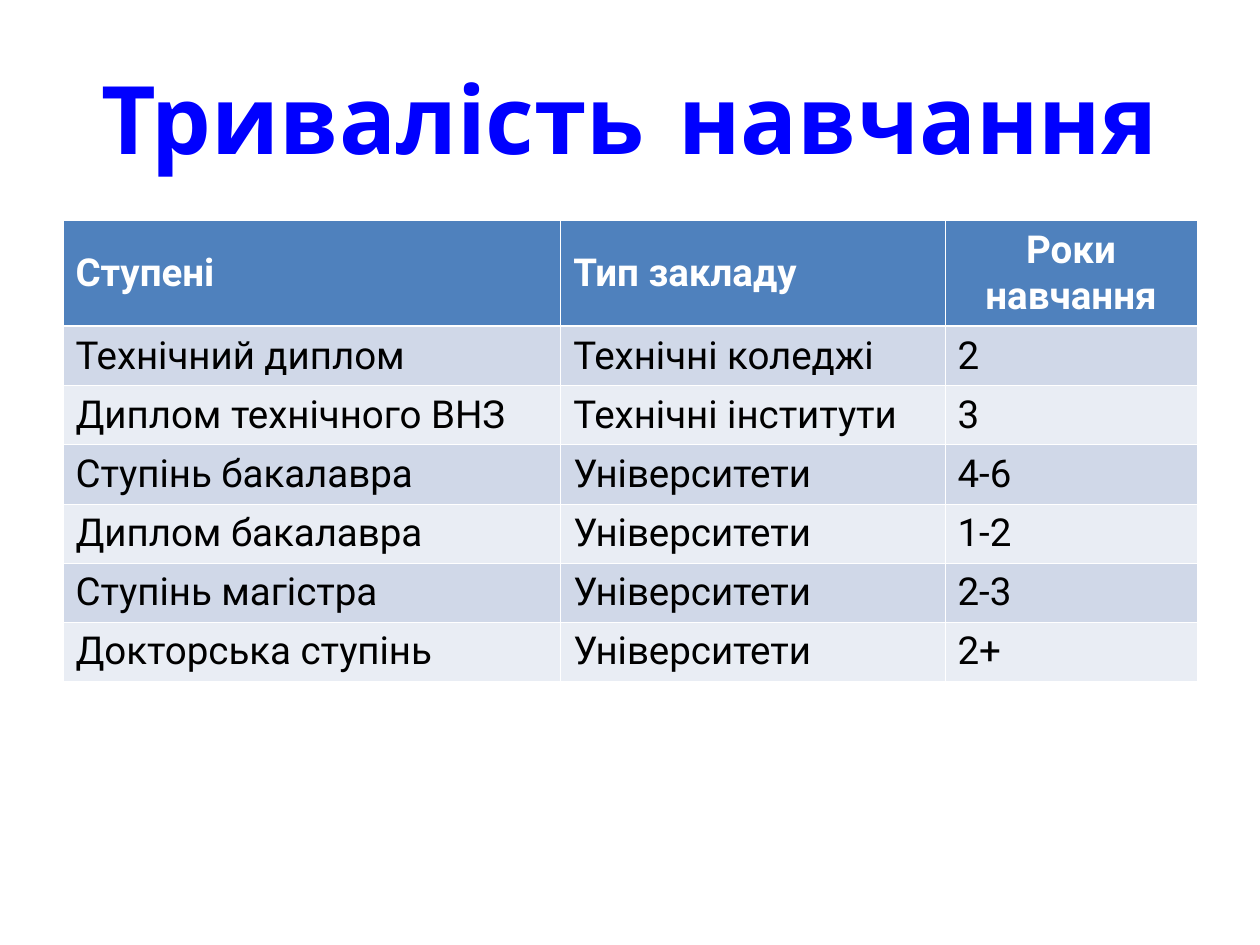
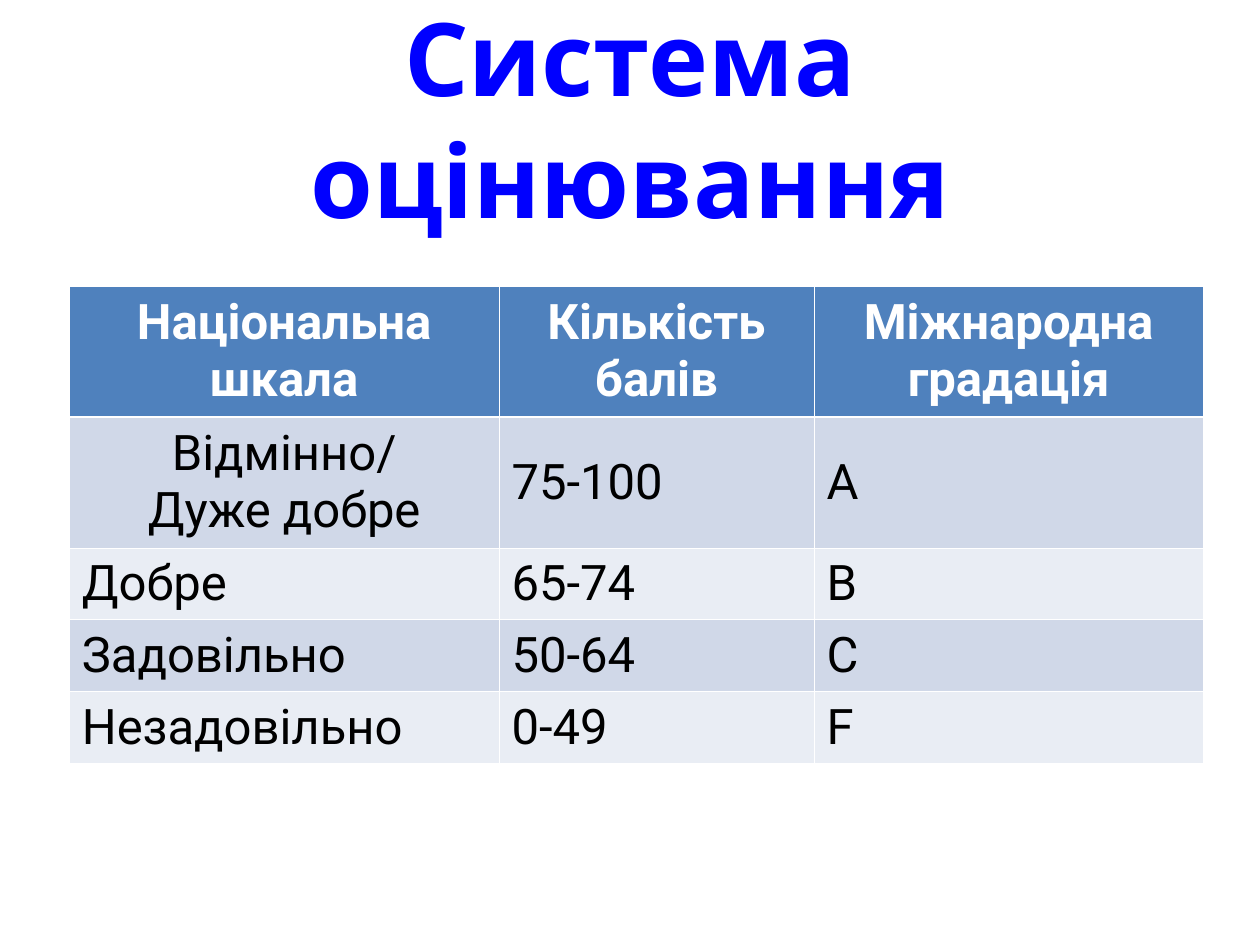
import pptx
import pptx.util
import pptx.dml.color
import pptx.enum.text
import pptx.oxml
import pptx.oxml.ns
from pptx.util import Inches

# Shared look
BLUE, WHITE, BLACK = "0000FF", "FFFFFF", "000000"
HEADER_FILL = "4F81BD"
BAND_FILLS = ("D0D8E8", "E9EDF4")
TABLE_FONT = "Roboto"
THIN, THICK = 0.45, 1.47
LEFT = pptx.enum.text.PP_ALIGN.LEFT
CENTER = pptx.enum.text.PP_ALIGN.CENTER
MIDDLE = pptx.enum.text.MSO_ANCHOR.MIDDLE


def color(hex_value):
    return pptx.dml.color.RGBColor.from_string(hex_value)


def format_text(text_frame, text, text_color, alignment, **font_format):
    text_frame.text = text
    for paragraph in text_frame.paragraphs:
        paragraph.alignment = alignment
        for run in paragraph.runs:
            for name, value in font_format.items():
                setattr(run.font, name, value)
            run.font.color.rgb = color(text_color)


def add_title(slide, text, font_name, size):
    box = slide.shapes.add_textbox(Inches(0.5), Inches(0.3), Inches(9), Inches(1.25))
    frame_format = {
        "word_wrap": True,
        "vertical_anchor": MIDDLE,
        "margin_left": Inches(0.2),
        "margin_right": Inches(0.2),
    }
    for name, value in frame_format.items():
        setattr(box.text_frame, name, value)
    format_text(box.text_frame, text, BLUE, CENTER,
                name=font_name, size=pptx.util.Pt(size), bold=True)


def set_borders(cell, top, bottom):
    """Draw white cell borders; the lines precede the fill in the cell properties."""
    properties = cell._tc.get_or_add_tcPr()
    widths = {"lnL": THIN, "lnR": THIN, "lnT": top, "lnB": bottom}
    for index, (tag, width) in enumerate(widths.items()):
        line = pptx.oxml.parse_xml(
            f'<a:{tag} {pptx.oxml.ns.nsdecls("a")} w="{pptx.util.Pt(width)}">'
            f'<a:solidFill><a:srgbClr val="{WHITE}"/></a:solidFill></a:{tag}>')
        properties.insert(index, line)


def add_banded_table(slide, left, top, widths, heights, rows, size, centered):
    """Add a table with a header row; centered holds (row, column) pairs."""
    table = slide.shapes.add_table(
        len(rows), len(widths), Inches(left), Inches(top),
        Inches(sum(widths)), Inches(sum(heights))).table
    for column, width in zip(table.columns, widths):
        column.width = Inches(width)
    for row_index, values in enumerate(rows):
        table.rows[row_index].height = Inches(heights[row_index])
        is_header = row_index == 0
        fill = HEADER_FILL if is_header else BAND_FILLS[(row_index - 1) % 2]
        for column_index, text in enumerate(values):
            cell = table.cell(row_index, column_index)
            cell.vertical_anchor = MIDDLE
            cell.fill.solid()
            cell.fill.fore_color.rgb = color(fill)
            set_borders(cell, THICK if row_index == 1 else THIN,
                        THICK if is_header else THIN)
            format_text(cell.text_frame, text, WHITE if is_header else BLACK,
                        CENTER if (row_index, column_index) in centered else LEFT,
                        name=TABLE_FONT, size=pptx.util.Pt(size), bold=is_header)


def main():
    presentation = pptx.Presentation()
    presentation.slide_width = Inches(10)
    presentation.slide_height = Inches(7.5)
    blank_layout = presentation.slide_layouts[6]

    # Length of study
    slide = presentation.slides.add_slide(blank_layout)
    add_title(slide, "Тривалість навчання", "Comic Neue", 54)
    study_rows = [
        ("Ступені", "Тип закладу", "Роки навчання"),
        ("Технічний диплом", "Технічні коледжі", "2"),
        ("Диплом технічного ВНЗ", "Технічні інститути", "3"),
        ("Ступінь бакалавра", "Університети", "4-6"),
        ("Диплом бакалавра", "Університети", "1-2"),
        ("Ступінь магістра", "Університети", "2-3"),
        ("Докторська ступінь", "Університети", "2+"),
    ]
    add_banded_table(slide, 0.5, 1.75, (3.95, 3.05, 2), [0.84] + [0.47] * 6,
                     study_rows, 22, {(0, 2)})

    # Grading system
    slide = presentation.slides.add_slide(blank_layout)
    add_title(slide, "Система оцінювання", "Cabin", 58)
    grade_rows = [
        ("Національна шкала", "Кількість балів", "Міжнародна градація"),
        ("Відмінно/\nДуже добре", "75-100", "A"),
        ("Добре", "65-74", "B"),
        ("Задовільно", "50-64", "C"),
        ("Незадовільно", "0-49", "F"),
    ]
    add_banded_table(slide, 0.55, 2.27, (3.41, 2.5, 3.09), [1.04] * 2 + [0.57] * 3,
                     grade_rows, 28, {(0, 0), (0, 1), (0, 2), (1, 0)})

    presentation.save("out.pptx")


if __name__ == "__main__":
    main()
